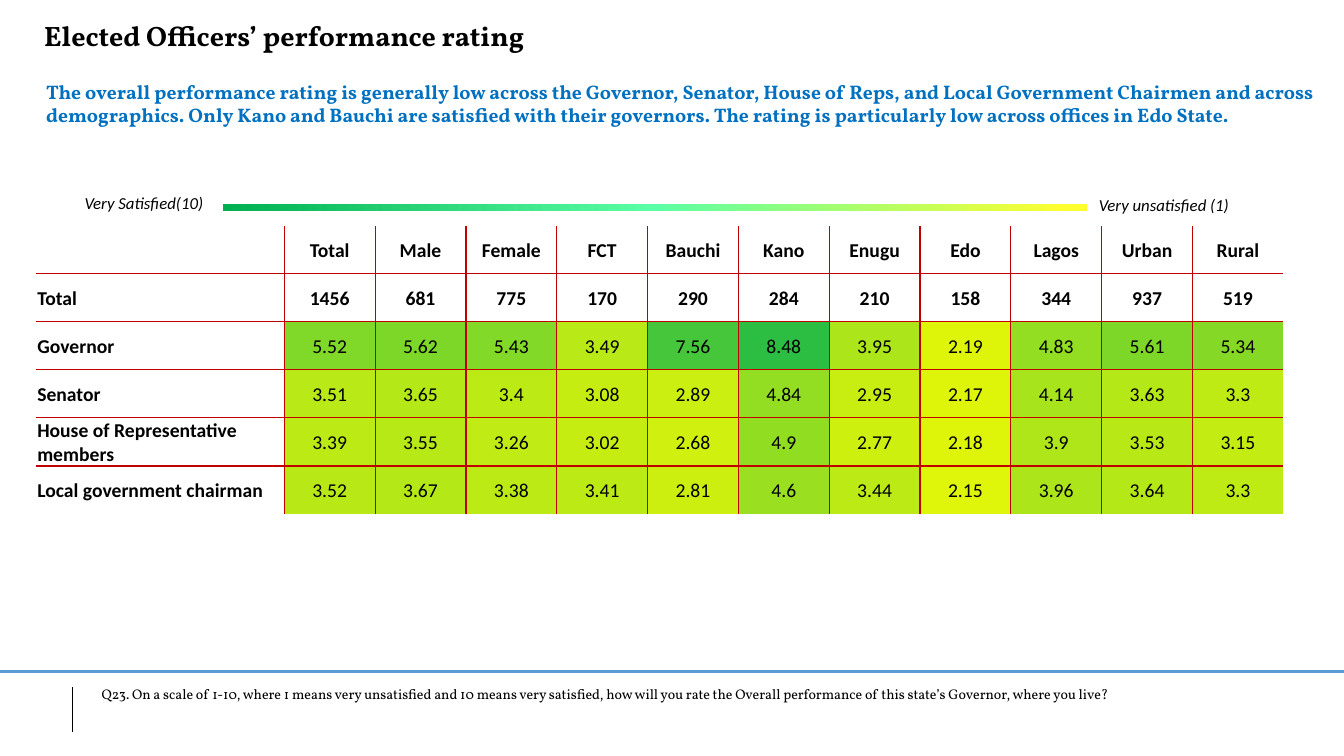
from dataclasses import dataclass

from lxml.etree import SubElement
from pptx import Presentation
from pptx.dml.color import RGBColor as Rgb
from pptx.enum.shapes import MSO_CONNECTOR as Connector, MSO_SHAPE as Preset
from pptx.enum.text import MSO_ANCHOR as Anchor, MSO_AUTO_SIZE as AutoSize, PP_ALIGN as Align
from pptx.oxml.ns import qn
from pptx.util import Inches, Pt


@dataclass(frozen=True)
class Theme:
    """Colours, fonts and type sizes of the slide."""
    ink: str = "000000"
    accent: str = "0070C0"
    footer_rule: str = "5B9BD5"
    grid: str = "C00000"
    scale: tuple = ((0, "00B050"), (50, "5BFFA5"), (98, "FFFF2F"))
    low: tuple = (2.15, "DFF50A")
    high: tuple = (8.48, "2CBE42")
    serif: str = "Vollkorn"
    sans: str = "Calibri"
    title: int = 20
    body: int = 14
    legend: int = 12
    note: int = 10

    def heat(self, rating):
        """Return the colour between low and high for a rating."""
        (low, start), (high, end) = self.low, self.high
        share = (rating - low) / (high - low)
        pairs = zip(Rgb.from_string(start), Rgb.from_string(end))
        return Rgb(*(round(a + (b - a) * share) for a, b in pairs))


class SlideBuilder:
    """Draws styled elements on the current slide."""

    def __init__(self, slide, theme):
        self.slide = slide
        self.theme = theme

    def style(self, paragraph, size, font, color=None, bold=False, italic=False):
        """Set the font of a paragraph."""
        paragraph.font.size = Pt(size)
        paragraph.font.name = font
        paragraph.font.bold = bold
        paragraph.font.italic = italic
        paragraph.font.color.rgb = Rgb.from_string(color or self.theme.ink)

    def text(self, words, box, size, font, wrap=True, **look):
        """Add a text box."""
        frame = self.slide.shapes.add_textbox(*map(Inches, box)).text_frame
        frame.word_wrap = wrap
        frame.auto_size = AutoSize.SHAPE_TO_FIT_TEXT
        frame.text = words
        self.style(frame.paragraphs[0], size, font, **look)

    def line(self, start, end, color, width):
        """Add a straight line."""
        rule = self.slide.shapes.add_connector(
            Connector.STRAIGHT, *map(Inches, start + end))
        rule.line.color.rgb = Rgb.from_string(color)
        rule.line.width = Pt(width)
        SubElement(rule._element.spPr, qn("a:effectLst"))

    def gradient_bar(self, box, stops):
        """Add a bar that fades from left to right."""
        bar = self.slide.shapes.add_shape(Preset.RECTANGLE, *map(Inches, box))
        bar.shadow.inherit = False
        bar.line.fill.background()
        bar.fill.gradient()
        bar.fill.gradient_angle = 0
        stop_list = bar._element.spPr.find(qn("a:gradFill")).find(qn("a:gsLst"))
        for stop in list(stop_list):
            stop_list.remove(stop)
        for percent, color in stops:
            stop = SubElement(stop_list, qn("a:gs"), pos=str(percent * 1000))
            SubElement(stop, qn("a:srgbClr"), val=color)

    def borders(self, cell, inner_sides):
        """Rule the inner sides of a cell and leave the others open."""
        properties = cell._tc.get_or_add_tcPr()
        for side, inner in inner_sides.items():
            edge = SubElement(properties, qn(f"a:ln{side}"), w=str(Pt(1)))
            if inner:
                fill = SubElement(edge, qn("a:solidFill"))
                SubElement(fill, qn("a:srgbClr"), val=self.theme.grid)
            else:
                SubElement(edge, qn("a:noFill"))

    def heat_table(self, rows, box, label_width, plain_rows):
        """Add a table whose ratings are coloured by value."""
        left, top, width, height = box
        last_row, last_column = len(rows) - 1, len(rows[0]) - 1
        table = self.slide.shapes.add_table(
            len(rows), len(rows[0]), *map(Inches, box)).table
        table.first_row = table.horz_banding = False
        for index, column in enumerate(table.columns):
            column.width = Inches(
                (width - label_width) / last_column if index else label_width)
        for row in table.rows:
            row.height = Inches(height / len(rows))
        for r, entries in enumerate(rows):
            for c, entry in enumerate(entries):
                cell = table.cell(r, c)
                rated = r >= plain_rows and c > 0
                cell.margin_left = cell.margin_right = cell.margin_top = Inches(0.01)
                cell.margin_bottom = 0
                cell.vertical_anchor = Anchor.MIDDLE
                self.borders(cell, {"L": c > 0, "R": c < last_column,
                                    "T": r > 0, "B": r < last_row})
                if rated:
                    cell.fill.solid()
                    cell.fill.fore_color.rgb = self.theme.heat(entry)
                else:
                    cell.fill.background()
                cell.text = str(entry)
                paragraph = cell.text_frame.paragraphs[0]
                paragraph.alignment = Align.CENTER if c else Align.LEFT
                self.style(paragraph, self.theme.body, self.theme.sans, bold=not rated)


RATINGS = [
    ["", "Total", "Male", "Female", "FCT", "Bauchi", "Kano", "Enugu", "Edo",
     "Lagos", "Urban", "Rural"],
    ["Total", 1456, 681, 775, 170, 290, 284, 210, 158, 344, 937, 519],
    ["Governor", 5.52, 5.62, 5.43, 3.49, 7.56, 8.48, 3.95, 2.19, 4.83, 5.61, 5.34],
    ["Senator", 3.51, 3.65, 3.4, 3.08, 2.89, 4.84, 2.95, 2.17, 4.14, 3.63, 3.3],
    ["House of Representative members",
     3.39, 3.55, 3.26, 3.02, 2.68, 4.9, 2.77, 2.18, 3.9, 3.53, 3.15],
    ["Local government chairman",
     3.52, 3.67, 3.38, 3.41, 2.81, 4.6, 3.44, 2.15, 3.96, 3.64, 3.3],
]


def main():
    """Build the performance rating slide."""
    deck = Presentation()
    deck.slide_width, deck.slide_height = Inches(13.33), Inches(7.5)
    theme = Theme()
    page = SlideBuilder(deck.slides.add_slide(deck.slide_layouts[6]), theme)

    page.line((0, 6.66), (13.33, 6.66), theme.footer_rule, 2.25)
    page.line((0.72, 6.82), (0.72, 7.26), theme.ink, 0.5)
    page.text("The overall performance rating is generally low across the Governor, "
              "Senator, House of Reps, and Local Government Chairmen and across "
              "demographics. Only Kano and Bauchi are satisfied with their governors. "
              "The rating is particularly low across offices in Edo State.",
              (0.36, 0.74, 12.81, 0.57), theme.body, theme.serif,
              color=theme.accent, bold=True)
    page.text("Elected Officers’ performance rating", (0.34, 0.13, 7.68, 0.44),
              theme.title, theme.serif, bold=True)
    page.text("Q23. On a scale of 1-10, where 1 means very unsatisfied and 10 means "
              "very satisfied, how will you rate the Overall performance of this "
              "state’s Governor, where you live?",
              (0.91, 6.75, 11.64, 0.27), theme.note, theme.serif)
    page.gradient_bar((2.21, 2.02, 8.57, 0.07), theme.scale)
    page.text("Very Satisfied(10)", (0.74, 1.86, 1.79, 0.3),
              theme.legend, theme.sans, italic=True)
    page.text("Very unsatisfied (1)", (10.8, 1.88, 1.57, 0.3),
              theme.legend, theme.sans, wrap=False, italic=True)
    page.heat_table(RATINGS, (0.36, 2.24, 12.37, 2.86), label_width=2.46, plain_rows=2)
    deck.save("out.pptx")


if __name__ == "__main__":
    main()
